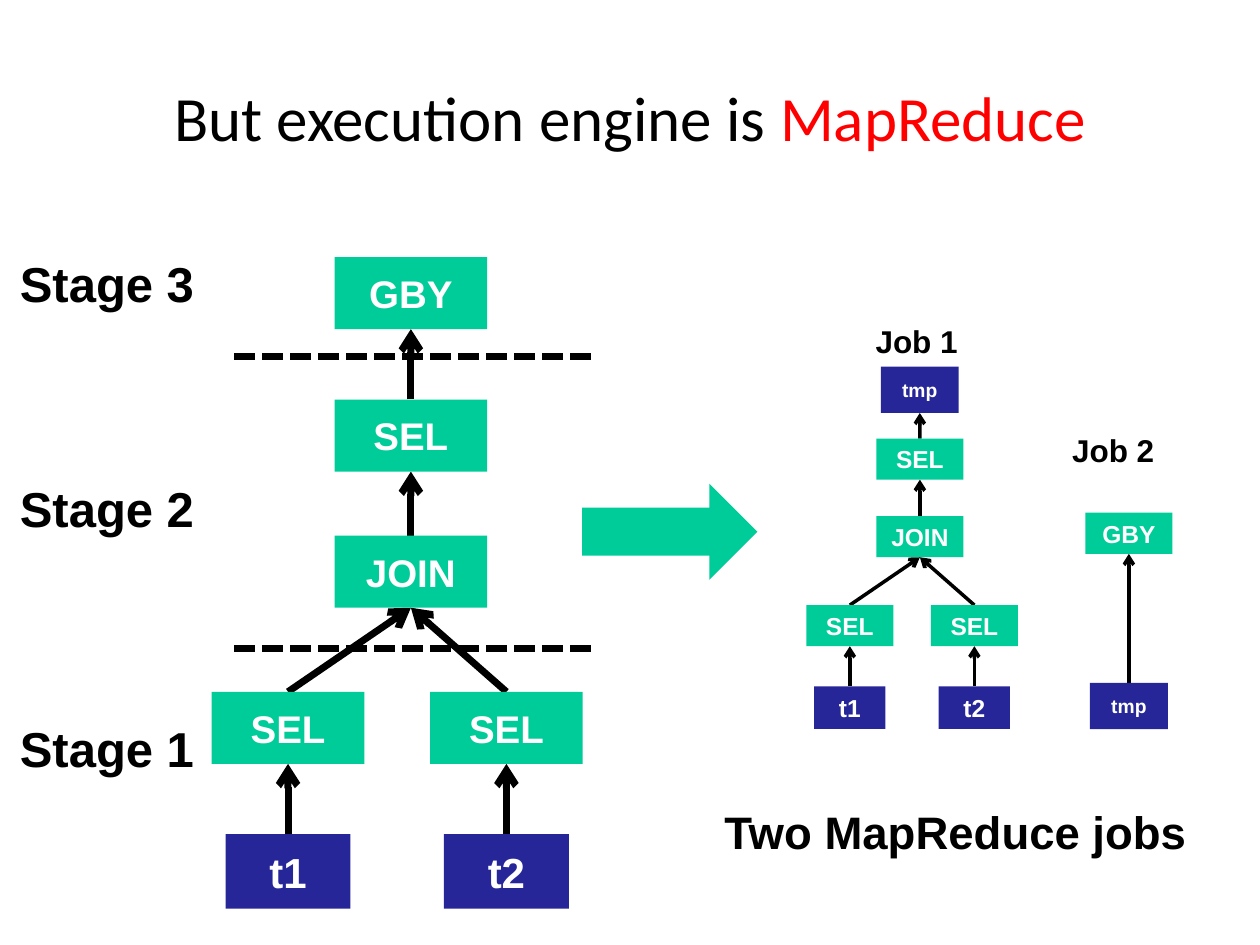
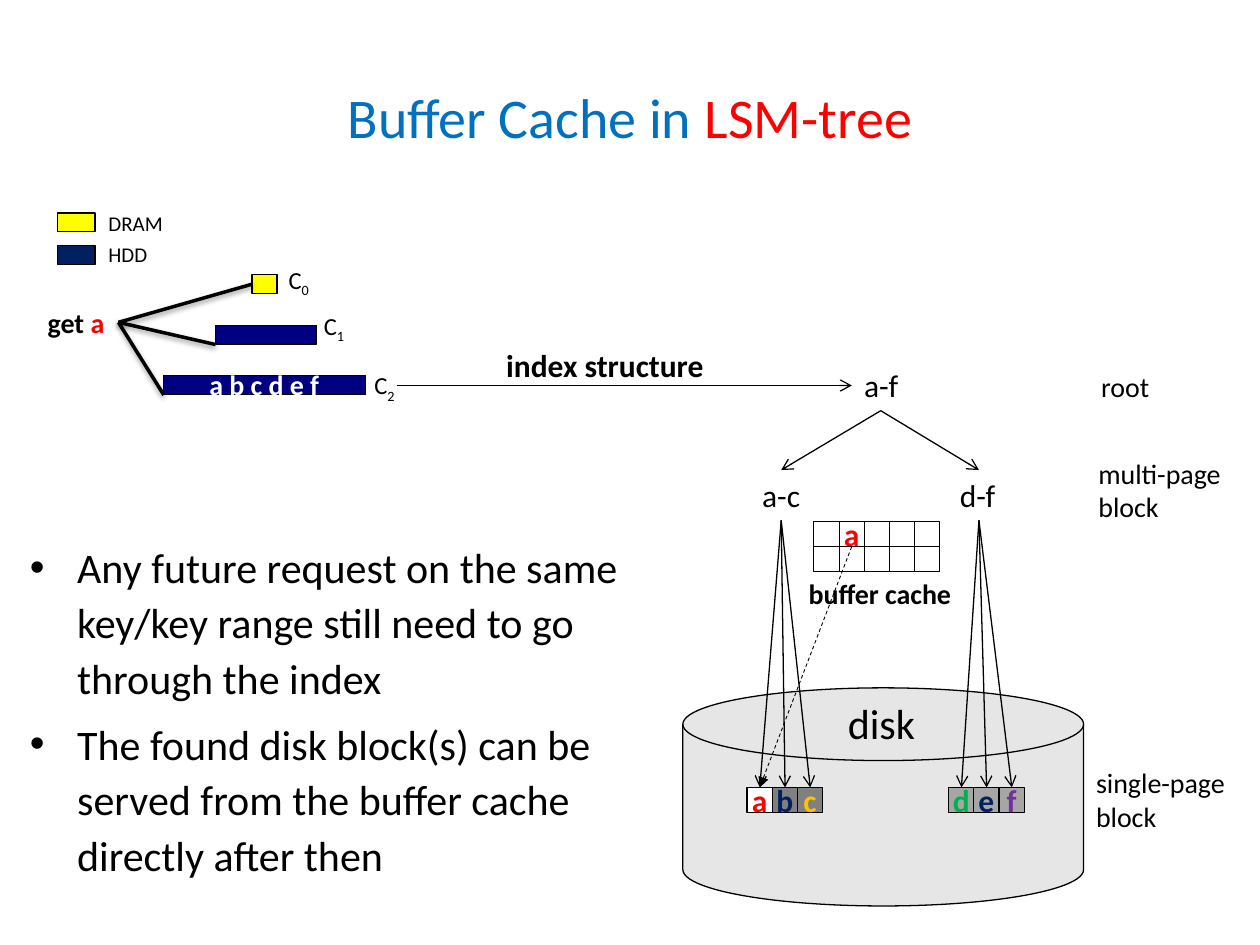
from dataclasses import dataclass

from lxml import etree
from pptx import Presentation
from pptx.dml.color import RGBColor
from pptx.enum.dml import MSO_LINE
from pptx.enum.shapes import MSO_CONNECTOR, MSO_SHAPE
from pptx.enum.text import MSO_ANCHOR, MSO_AUTO_SIZE, PP_ALIGN
from pptx.oxml.ns import qn
from pptx.util import Pt

RECTANGLE = MSO_SHAPE.RECTANGLE
RIGHT_ARROW = MSO_SHAPE.RIGHT_ARROW
CYLINDER = MSO_SHAPE.FLOWCHART_MAGNETIC_DISK
STRAIGHT = MSO_CONNECTOR.STRAIGHT
SHORT_DASH, DASH = MSO_LINE.SQUARE_DOT, MSO_LINE.DASH
MIDDLE, TOP = MSO_ANCHOR.MIDDLE, MSO_ANCHOR.TOP
LEFT, CENTER = PP_ALIGN.LEFT, PP_ALIGN.CENTER
GROW = MSO_AUTO_SIZE.SHAPE_TO_FIT_TEXT

BLACK, WHITE, RED, BLUE = "000000", "FFFFFF", "FF0000", "0070C0"
GREEN, INDIGO = "00CC99", "262699"
YELLOW, NAVY, DARK_BLUE = "FFFF00", "000080", "002060"
PLAN_FONT, TEXT_FONT = "Arial", "Calibri"
PADDING = (7.2, 3.6)
CELL = 14.4


def color(hex_code):
    return RGBColor.from_string(hex_code)


def write_text(frame, paragraphs, size, font=TEXT_FONT, bold=False, align=LEFT):
    """Each paragraph is a list of runs: (text, colour) or (text, colour, baseline)."""
    for index, runs in enumerate(paragraphs):
        paragraph = frame.paragraphs[0] if index == 0 else frame.add_paragraph()
        paragraph.alignment = align
        for text, hex_code, *baseline in runs:
            run = paragraph.add_run()
            run.text = text
            run.font.name, run.font.size, run.font.bold = font, Pt(size), bold
            run.font.color.rgb = color(hex_code)
            if baseline:
                run.font._element.set("baseline", str(baseline[0]))


def set_frame(frame, padding, anchor, wrap):
    frame.margin_left = frame.margin_right = Pt(padding[0])
    frame.margin_top = frame.margin_bottom = Pt(padding[1])
    frame.vertical_anchor, frame.word_wrap = anchor, wrap


def add_label(shapes, left, top, width, height, paragraphs, size,
              padding=PADDING, **style):
    box = shapes.add_textbox(Pt(left), Pt(top), Pt(width), Pt(height))
    set_frame(box.text_frame, padding, TOP, False)
    box.text_frame.auto_size = GROW
    write_text(box.text_frame, paragraphs, size, **style)


def add_box(shapes, left, top, width, height, fill=None, outline=None,
            kind=RECTANGLE, runs=None, size=18, font=TEXT_FONT):
    shape = shapes.add_shape(kind, Pt(left), Pt(top), Pt(width), Pt(height))
    shape.shadow.inherit = False
    if fill:
        shape.fill.solid()
        shape.fill.fore_color.rgb = color(fill)
    else:
        shape.fill.background()
    if outline:
        shape.line.color.rgb = color(BLACK)
        shape.line.width = Pt(outline)
    else:
        shape.line.fill.background()
    if runs:
        set_frame(shape.text_frame, (0, 0), MIDDLE, False)
        write_text(shape.text_frame, [runs], size, font, True, CENTER)


def add_line(shapes, start, end, weight=0.75, head=None, dash=None, shadow=False):
    line = shapes.add_connector(STRAIGHT, *(Pt(value) for value in (*start, *end)))
    line.line.color.rgb = color(BLACK)
    line.line.width = Pt(weight)
    if dash:
        line.line.dash_style = dash
    if head:
        etree.SubElement(line.line._get_or_add_ln(), qn("a:tailEnd"), type=head)
    effects = etree.SubElement(line._element.spPr, qn("a:effectLst"))
    if shadow:
        outer = etree.SubElement(effects, qn("a:outerShdw"), blurRad=str(Pt(3.1)),
                                 dist=str(Pt(1.6)), dir="5400000", rotWithShape="0")
        tint = etree.SubElement(outer, qn("a:srgbClr"), val=BLACK)
        etree.SubElement(tint, qn("a:alpha"), val="38000")


def add_title(slide, runs, size):
    box = slide.shapes.add_textbox(Pt(0), Pt(21.6), Pt(720), Pt(90))
    set_frame(box.text_frame, PADDING, MIDDLE, True)
    write_text(box.text_frame, [runs], size, align=CENTER)


@dataclass
class Node:
    text: str
    center: float
    top: float
    width: float
    height: float
    fill: str
    size: float


def draw_nodes(shapes, nodes, edges, weight):
    """Draw the arrows, each from a lower node up to a higher one, then the nodes."""
    for lower, upper in edges:
        start, end = nodes[lower], nodes[upper]
        add_line(shapes, (start.center, start.top),
                 (end.center, end.top + end.height), weight, "arrow")
    for node in nodes.values():
        add_box(shapes, node.center - node.width / 2, node.top, node.width,
                node.height, node.fill, runs=[(node.text, WHITE)],
                size=node.size, font=PLAN_FONT)


def draw_plan(shapes, left, top, scale, operator_size, table_size, weight, output):
    """Draw the join plan; left and top are those of its operators, without the output."""
    def place(text, center, offset, width, height, fill, size):
        return Node(text, left + center * scale, top + offset * scale,
                    width * scale, height * scale, fill, size)

    def operator(text, center, offset):
        return place(text, center, offset, 87.2, 41.2, GREEN, operator_size)

    def table(text, center):
        return place(text, center, 248.4, 71.4, 42.6, INDIGO, table_size)

    first, middle, second = 43.6, 113.8, 168.4
    nodes = {
        "output": output,
        "select": operator("SEL", middle, 0),
        "join": operator("JOIN", middle, 77.8),
        "select 1": operator("SEL", first, 167),
        "select 2": operator("SEL", second, 167),
        "table 1": table("t1", first),
        "table 2": table("t2", second),
    }
    edges = [("table 1", "select 1"), ("table 2", "select 2"), ("select 1", "join"),
             ("select 2", "join"), ("join", "select"), ("select", "output")]
    draw_nodes(shapes, nodes, edges, weight)


def draw_stages(shapes, left, top):
    for name, offset in (("Stage 3", 0), ("Stage 2", 128.9), ("Stage 1", 265.7)):
        add_label(shapes, left, top + offset, 115.2, 41, [[(name, BLACK)]], 28,
                  font=PLAN_FONT, bold=True)
    for offset in (62.7, 229.7):
        add_line(shapes, (left + 129.6, top + offset), (left + 337, top + offset),
                 4, dash=SHORT_DASH)
    output = Node("GBY", left + 230.5, top + 5.8, 87.2, 41.2, GREEN, 22)
    draw_plan(shapes, left + 116.7, top + 87.2, 1, 22, 24, 4, output)


def draw_jobs(shapes, left, top):
    def temporary(center, offset):
        return Node("tmp", left + center, top + offset, 44.6, 26.5, INDIGO, 11)

    add_box(shapes, left, top + 95.7, 100.2, 54.9, GREEN, kind=RIGHT_ARROW)
    for name, across, down in (("Job 1", 160.6, 0), ("Job 2", 272.9, 61.8)):
        add_label(shapes, left + across, top + down, 62, 28.8, [[(name, BLACK)]], 18,
                  font=PLAN_FONT, bold=True)
    draw_plan(shapes, left + 128.2, top + 69.9, 0.57, 14, 14, 2, temporary(193, 28.8))
    group_by = Node("GBY", left + 312.5, top + 112.2, 49.7, 23.6, GREEN, 14)
    draw_nodes(shapes, {"tmp": temporary(312.5, 209.5), "group": group_by},
               [("tmp", "group")], 2)
    add_label(shapes, left + 74.2, top + 275, 303.8, 38.9,
              [[("Two MapReduce jobs", BLACK)]], 26, font=PLAN_FONT, bold=True)


def draw_legend(shapes, left, top):
    for row, (name, fill) in enumerate((("DRAM", YELLOW), ("HDD", DARK_BLUE))):
        add_box(shapes, left, top + 18.7 * row, 21.6, 10.8, fill, 0.75)
        add_label(shapes, left + 29.2, top - 1.6 + 18 * row, 31.7, 14.4,
                  [[(name, BLACK)]], 12, padding=(0, 0))


def draw_lookup(shapes, left, top):
    """Draw the request and the three tree levels that it visits."""
    add_label(shapes, left, top + 20.1, 47.5, 26.6,
              [[("get ", BLACK), ("a", RED)]], 16, bold=True)
    start = (left + 47.5, top + 33)
    levels = [(123.8, 5.8, 14.4, YELLOW, 144.7, 0, 5.8),
              (103, 34.6, 57.6, NAVY, 164.9, 26.6, 40.3),
              (73.4, 63.4, 115.2, NAVY, 193.7, 60.5, 69.1)]
    for number, (across, down, width, fill, *label, target) in enumerate(levels):
        add_box(shapes, left + across, top + down, width, 10.8, fill, 0.75)
        add_label(shapes, left + label[0], top + label[1], 12.2, 17.3,
                  [[("C", BLACK), (str(number), BLACK, -25000)]], 14, padding=(0, 0))
        add_line(shapes, start, (left + across, top + target + 5.4), 2, shadow=True)
    add_label(shapes, left + 99.4, top + 59, 64.1, 19.4,
              [[("a b c d e f", WHITE)]], 16, padding=(0, 0), bold=True)
    add_line(shapes, (left + 206.6, top + 69.1), (left + 466.6, top + 69.1),
             head="arrow")
    add_label(shapes, left + 262, top + 43.2, 128.2, 28.8,
              [[("index structure", BLACK)]], 18, bold=True)


def draw_disk(shapes, left, top):
    add_box(shapes, left, top, 229, 124.6, "E6E6E6", 0.75, CYLINDER)
    blocks = [(36.7, [("a", RED, WHITE), ("b", DARK_BLUE, "808080"),
                      ("c", "FFC000", "808080")]),
              (151.9, [("d", "00B050", "A6A6A6"), ("e", DARK_BLUE, "A6A6A6"),
                       ("f", "7030A0", "A6A6A6")])]
    for across, pages in blocks:
        for column, (key, text_color, fill) in enumerate(pages):
            add_box(shapes, left + across + CELL * column, top + 56.9, CELL, CELL,
                    fill, 0.75, runs=[(key, text_color)])
    add_label(shapes, left + 94.3, top + 2.2, 38.9, 36, [[("disk", BLACK)]], 24,
              padding=(0, 3.6))


def draw_index(shapes, left, top):
    """Draw the index tree, whose leaves point at the pages on the disk."""
    root = (left + 74.9, top + 28.8)
    add_label(shapes, left + 58.3, top, 34.6, 28.8, [[("a-f", BLACK)]], 18)
    for name, across, width, center, first_page in (
            ("a-c", 0, 36.7, 18, 5.8), ("d-f", 113, 35.3, 131, 121)):
        add_label(shapes, left + across, top + 62.7, width, 28.8,
                  [[(name, BLACK)]], 18)
        add_line(shapes, root, (left + center, top + 62.7), head="arrow")
        for page in range(3):
            add_line(shapes, (left + center, top + 91.5),
                     (left + first_page + CELL * page, top + 244.1), head="arrow")


def draw_level_names(shapes, left, top):
    for across, down, width, lines in ((2.9, 0, 42.5, ["root"]),
                                       (1.4, 49.7, 88.6, ["multi-page", "block"]),
                                       (0, 226.8, 92.9, ["single-page", "block"])):
        add_label(shapes, left + across, top + down, width, 26.6 + 19.5 * (len(lines) - 1),
                  [[(line, BLACK)] for line in lines], 16)


def draw_buffer_cache(shapes, left, top):
    columns, rows = 5, 2
    width, height = columns * CELL, rows * CELL
    add_box(shapes, left + CELL, top, CELL, CELL, runs=[("a", RED)])
    add_box(shapes, left, top, width, height, outline=0.5)
    for row in range(1, rows):
        add_line(shapes, (left, top + CELL * row), (left + width, top + CELL * row), 0.5)
    for column in range(1, columns):
        x = left + CELL * column
        add_line(shapes, (x, top), (x, top + height), 0.5)
    add_label(shapes, left - 10.1, top + 28.1, 97.9, 26.6,
              [[("buffer cache", BLACK)]], 16, bold=True)
    add_line(shapes, (left + 1.5 * CELL, top + CELL), (left - 31, top + 152),
             0.5, "triangle", DASH)


def draw_bullets(shapes, left, top, width, height, lines):
    box = shapes.add_textbox(Pt(left), Pt(top), Pt(width), Pt(height))
    set_frame(box.text_frame, PADDING, TOP, True)
    write_text(box.text_frame, [[(line, BLACK)] for line in lines], 24)
    for index, paragraph in enumerate(box.text_frame.paragraphs):
        paragraph.line_spacing = 1.1
        if index:
            paragraph.space_before = Pt(6)
        properties = paragraph._p.get_or_add_pPr()
        properties.set("marL", str(Pt(27)))
        properties.set("indent", str(Pt(-27)))
        etree.SubElement(properties, qn("a:buFont"), typeface="Arial")
        etree.SubElement(properties, qn("a:buChar"), char="•")


def build_engine_slide(slide):
    add_title(slide, [("But execution engine is ", BLACK), ("MapReduce", RED)], 36)
    draw_stages(slide.shapes, 4.3, 141.1)
    draw_jobs(slide.shapes.add_group_shape().shapes, 332.6, 180.7)


def build_cache_slide(slide):
    shapes = slide.shapes
    add_title(slide, [("Buffer Cache in ", BLUE), ("LSM-tree", RED)], 32)
    draw_disk(shapes, 390.2, 393.1)
    draw_legend(shapes, 32.8, 121.7)
    draw_lookup(shapes, 20.2, 151.2)
    draw_index(shapes, 428.4, 205.9)
    draw_level_names(shapes, 619.2, 207.4)
    draw_buffer_cache(shapes, 465.1, 298)
    draw_bullets(shapes, 10, 303, 380, 214, [
        "Any future request on the same key/key range still need to go through the index",
        "The found disk block(s) can be served from the buffer cache directly after then",
    ])


def main():
    presentation = Presentation()
    presentation.slide_width, presentation.slide_height = Pt(720), Pt(540)
    blank = presentation.slide_layouts[6]
    for build in (build_engine_slide, build_cache_slide):
        build(presentation.slides.add_slide(blank))
    presentation.save("out.pptx")


if __name__ == "__main__":
    main()
